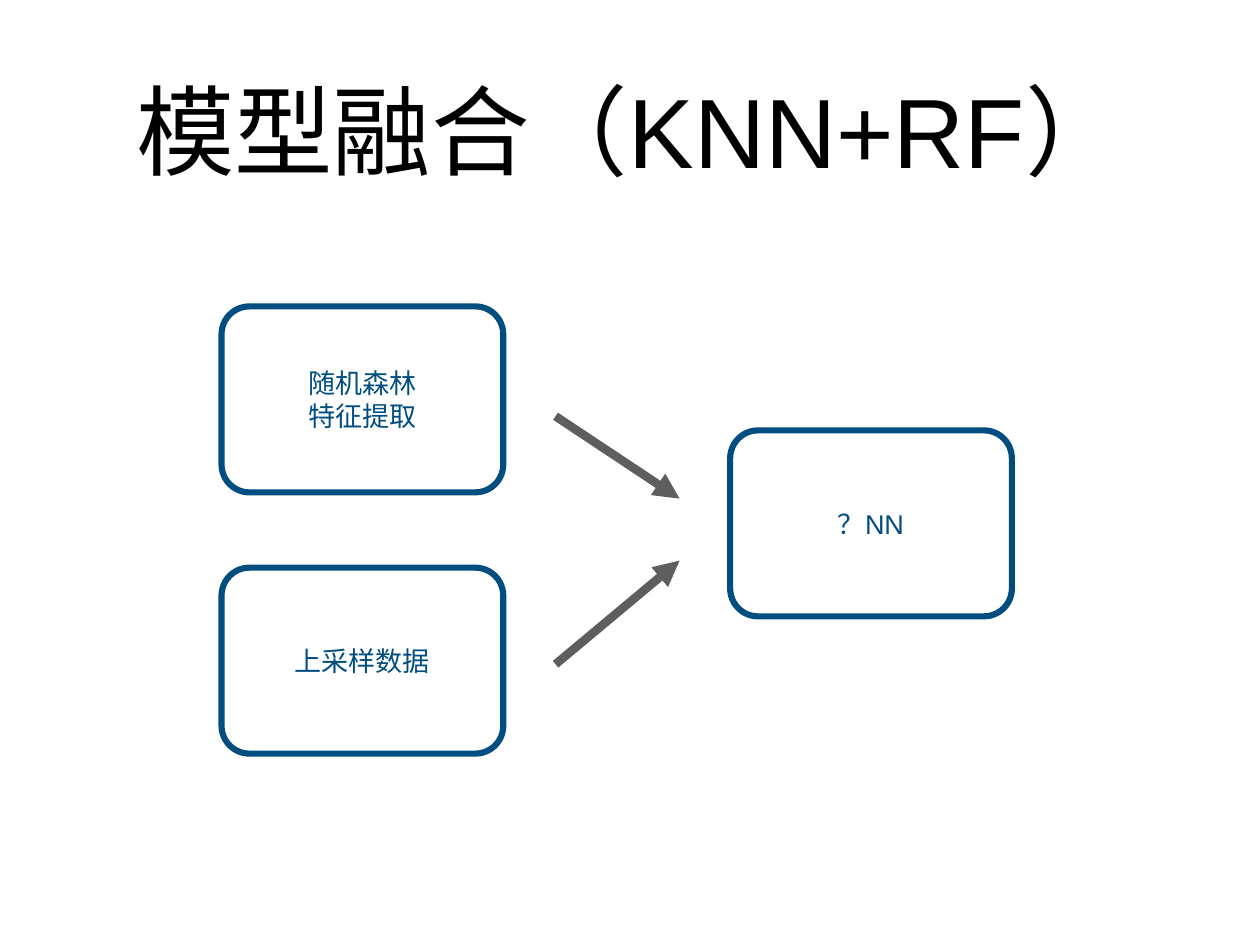
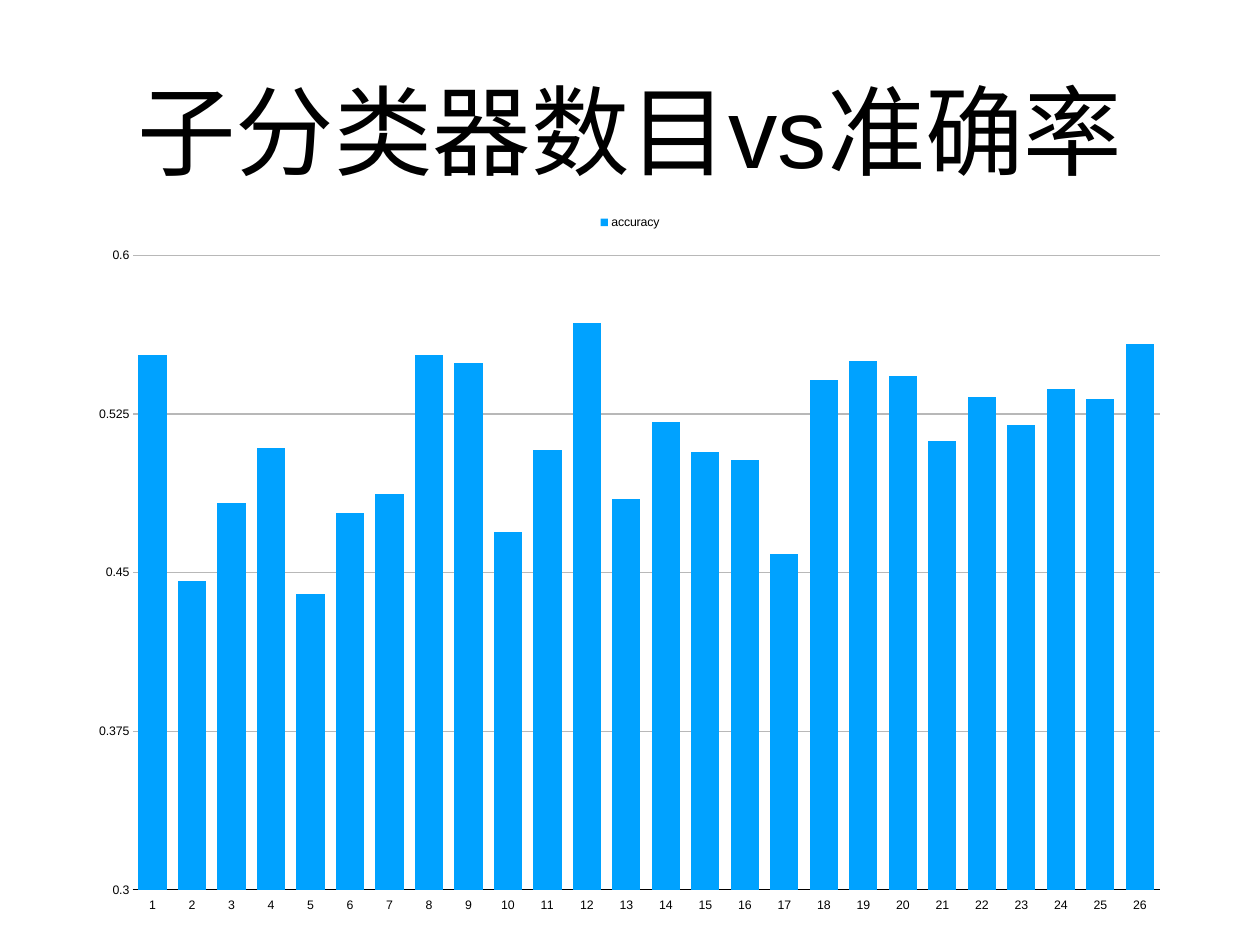
from lxml import etree
from pptx import Presentation
from pptx.chart.data import CategoryChartData
from pptx.dml.color import RGBColor
from pptx.enum.chart import XL_CHART_TYPE as ChartType
from pptx.enum.chart import XL_LEGEND_POSITION as LegendPosition
from pptx.enum.chart import XL_TICK_LABEL_POSITION as LabelPosition
from pptx.enum.chart import XL_TICK_MARK as TickMark
from pptx.enum.shapes import MSO_CONNECTOR as Connector
from pptx.enum.shapes import MSO_SHAPE as Shape
from pptx.enum.text import MSO_ANCHOR as Anchor
from pptx.enum.text import PP_ALIGN as Align
from pptx.oxml.ns import qn
from pptx.util import Inches, Pt

FONT = "Arial"
BLACK, NAVY, GRAY, GRID, BLUE = "000000", "004D80", "5E5E5E", "B8B8B8", "00A2FF"
TITLE_BOX = [Inches(value) for value in (1.04, 0.28, 12.14, 2.36)]
TITLES = ["模型融合（KNN+RF）", "子分类器数目vs准确率"]
FRAME_FORMAT = {
    "word_wrap": True,
    "vertical_anchor": Anchor.MIDDLE,
    **{f"margin_{side}": Inches(0.06) for side in ("left", "top", "right", "bottom")},
}


def rgb(hex_color):
    return RGBColor.from_string(hex_color)


def write_text(shape, text, size, color):
    """Fill a shape with centred text, one paragraph per line."""
    frame = shape.text_frame
    for name, value in FRAME_FORMAT.items():
        setattr(frame, name, value)
    frame.text = text
    for paragraph in frame.paragraphs:
        paragraph.alignment = Align.CENTER
        font = paragraph.runs[0].font
        font.name, font.size = FONT, Pt(size)
        font.color.rgb = rgb(color)


presentation = Presentation()
presentation.slide_width = Inches(14.22)
presentation.slide_height = Inches(10.67)

slides = []
for title in TITLES:
    slide = presentation.slides.add_slide(presentation.slide_layouts[6])
    write_text(slide.shapes.add_textbox(*TITLE_BOX), title, 80, BLACK)
    slides.append(slide)
fusion_slide, accuracy_slide = slides

# Model fusion: two inputs flow into one model
BOXES = [
    (2.5, 3.46, "随机森林\n特征提取"),
    (8.24, 4.86, "？NN"),
    (2.5, 6.41, "上采样数据"),
]
for left, top, text in BOXES:
    box = fusion_slide.shapes.add_shape(
        Shape.ROUNDED_RECTANGLE, Inches(left), Inches(top), Inches(3.18), Inches(2.1)
    )
    box.adjustments[0] = 0.15
    box.shadow.inherit = False
    box.fill.background()
    box.line.color.rgb = rgb(NAVY)
    box.line.width = Pt(5)
    write_text(box, text, 22, NAVY)

for start_y, end_y in [(4.7, 5.63), (7.5, 6.33)]:
    arrow = fusion_slide.shapes.add_connector(
        Connector.STRAIGHT, Inches(6.27), Inches(start_y), Inches(7.67), Inches(end_y)
    )
    arrow.line.color.rgb = rgb(GRAY)
    arrow.line.width = Pt(7)
    etree.SubElement(arrow.line._get_or_add_ln(), qn("a:tailEnd"), type="triangle")
    etree.SubElement(arrow._element.spPr, qn("a:effectLst"))

# Accuracy by number of sub-classifiers
ACCURACY = [
    0.553, 0.446, 0.483, 0.509, 0.44, 0.478, 0.487, 0.553, 0.549,
    0.469, 0.508, 0.568, 0.485, 0.521, 0.507, 0.503, 0.459, 0.541,
    0.55, 0.543, 0.512, 0.533, 0.52, 0.537, 0.532, 0.558,
]
chart_data = CategoryChartData()
chart_data.categories = [str(number) for number in range(1, len(ACCURACY) + 1)]
chart_data.add_series("accuracy", ACCURACY)
chart = accuracy_slide.shapes.add_chart(
    ChartType.COLUMN_CLUSTERED,
    Inches(1.01), Inches(2.32), Inches(12.2), Inches(8.05),
    chart_data,
).chart
chart.has_title = False
chart.font.name, chart.font.size = FONT, Pt(10)
chart.font.color.rgb = rgb(BLACK)
chart.has_legend = True
chart.legend.position = LegendPosition.TOP
chart.legend.include_in_layout = True

plot = chart.plots[0]
for name, value in {"gap_width": 40, "overlap": -10, "vary_by_categories": False}.items():
    setattr(plot, name, value)
bar_fill = plot.series[0].format.fill
bar_fill.solid()
bar_fill.fore_color.rgb = rgb(BLUE)

category_axis, value_axis = chart.category_axis, chart.value_axis
for axis in (category_axis, value_axis):
    axis.major_tick_mark = axis.minor_tick_mark = TickMark.NONE
category_axis.tick_label_position = LabelPosition.LOW
for name, value in {"minimum_scale": 0.3, "maximum_scale": 0.6, "major_unit": 0.075}.items():
    setattr(value_axis, name, value)
value_axis.tick_labels.number_format = "General"
value_axis.tick_labels.number_format_is_linked = False
value_axis.format.line.fill.background()
for line, color in [
    (category_axis.format.line, BLACK),
    (value_axis.major_gridlines.format.line, GRID),
]:
    line.color.rgb = rgb(color)
    line.width = Pt(1)

# Fixed inner plot area, as fractions of the chart
plot_area = chart._chartSpace.chart.plotArea
for old_layout in plot_area.findall(qn("c:layout")):
    plot_area.remove(old_layout)
layout = etree.Element(qn("c:layout"))
plot_area.insert(0, layout)
manual = etree.SubElement(layout, qn("c:manualLayout"))
PLOT_LAYOUT = {
    "layoutTarget": "inner", "xMode": "edge", "yMode": "edge",
    "x": 0.04, "y": 0.07, "w": 0.95, "h": 0.89,
}
for tag, value in PLOT_LAYOUT.items():
    etree.SubElement(manual, qn(f"c:{tag}"), val=str(value))

presentation.save("out.pptx")
